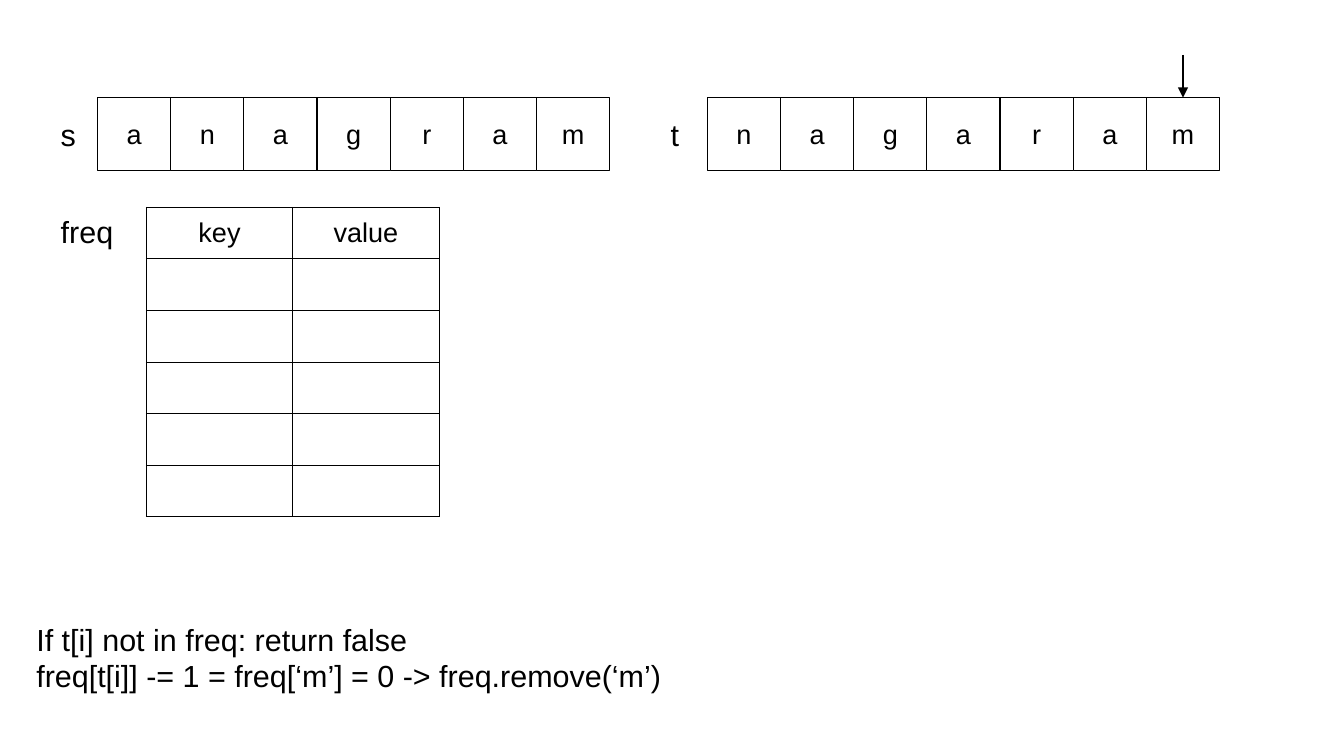
import lxml.etree
import pptx
import pptx.dml.color
import pptx.enum.shapes
import pptx.enum.text
import pptx.oxml.ns
import pptx.util

Pt = pptx.util.Pt
qn = pptx.oxml.ns.qn


def color(value):
    return pptx.dml.color.RGBColor.from_string(value)


class Page:
    font = "Arial"
    ink = "000000"
    paper = "FFFFFF"
    line_width = 0.75
    label_size = 18
    cell_size = 16

    def __init__(self, deck):
        self.slide = deck.slides.add_slide(deck.slide_layouts[6])

    def style_text(self, frame, size, centered=False):
        for para in frame.paragraphs:
            if centered:
                para.alignment = pptx.enum.text.PP_ALIGN.CENTER
            for span in para.runs:
                span.font.name = self.font
                span.font.size = Pt(size)
                span.font.bold = False
                span.font.color.rgb = color(self.ink)

    def text(self, content, left, top, width, height):
        box = self.slide.shapes.add_textbox(Pt(left), Pt(top), Pt(width), Pt(height))
        box.text_frame.word_wrap = True
        box.text_frame.text = content
        self.style_text(box.text_frame, self.label_size)

    def letter_cell(self, letter, left, top, side):
        box = self.slide.shapes.add_shape(
            pptx.enum.shapes.MSO_SHAPE.RECTANGLE, Pt(left), Pt(top), Pt(side), Pt(side))
        box.shadow.inherit = False
        box.fill.solid()
        box.fill.fore_color.rgb = color(self.paper)
        box.line.color.rgb = color(self.ink)
        box.line.width = Pt(self.line_width)
        frame = box.text_frame
        frame.word_wrap = False
        frame.vertical_anchor = pptx.enum.text.MSO_ANCHOR.MIDDLE
        frame.text = letter
        self.style_text(frame, self.cell_size, centered=True)

    def array(self, name, letters, left, top, side):
        for index, letter in enumerate(letters):
            self.letter_cell(letter, left + index * side, top, side)
        self.text(name, left - 28.8, top + 7.2, 93.6, 28.8)

    def cell_borders(self, cell):
        properties = cell._tc.get_or_add_tcPr()
        for side in ("a:lnL", "a:lnR", "a:lnT", "a:lnB"):
            border = lxml.etree.SubElement(properties, qn(side), w=str(Pt(self.line_width)))
            fill = lxml.etree.SubElement(border, qn("a:solidFill"))
            lxml.etree.SubElement(fill, qn("a:srgbClr"), val=self.ink)

    def table(self, headings, row_count, left, top, width, height):
        table = self.slide.shapes.add_table(
            row_count, len(headings), Pt(left), Pt(top), Pt(width), Pt(height)).table
        table.first_row = False
        table.horz_banding = False
        for column, heading in enumerate(headings):
            table.cell(0, column).text_frame.text = heading
        for cell in table.iter_cells():
            cell.vertical_anchor = pptx.enum.text.MSO_ANCHOR.MIDDLE
            self.cell_borders(cell)
            cell.fill.solid()
            cell.fill.fore_color.rgb = color(self.paper)
            self.style_text(cell.text_frame, self.cell_size, centered=True)

    def arrow_down(self, center, top, bottom):
        arrow = self.slide.shapes.add_connector(
            pptx.enum.shapes.MSO_CONNECTOR.STRAIGHT, Pt(center), Pt(top), Pt(center), Pt(bottom))
        arrow.line.color.rgb = color(self.ink)
        arrow.line.width = Pt(self.line_width)
        lxml.etree.SubElement(arrow.line._get_or_add_ln(), qn("a:tailEnd"), type="triangle")
        lxml.etree.SubElement(arrow._element.spPr, qn("a:effectLst"))


def main():
    deck = pptx.Presentation()
    deck.slide_width = Pt(793.44)
    deck.slide_height = Pt(446.4)
    page = Page(deck)

    array_top, side = 57.6, 43.2
    source_left, target_left = 57.6, 417.6
    target = "nagaram"
    page.array("s", "anagram", source_left, array_top, side)
    page.array("t", target, target_left, array_top, side)
    page.arrow_down(target_left + (len(target) - 0.5) * side, 32.4, array_top)

    page.text("freq", 28.8, 122.4, 93.6, 28.8)
    page.table(["key", "value"], 6, 86.4, 122.4, 172.8, 182.88)
    page.text("If t[i] not in freq: return false\n"
              "freq[t[i]] -= 1 = freq[‘m’] = 0 -> freq.remove(‘m’)",
              14.4, 362.88, 763.2, 61.92)
    deck.save("out.pptx")


if __name__ == "__main__":
    main()
